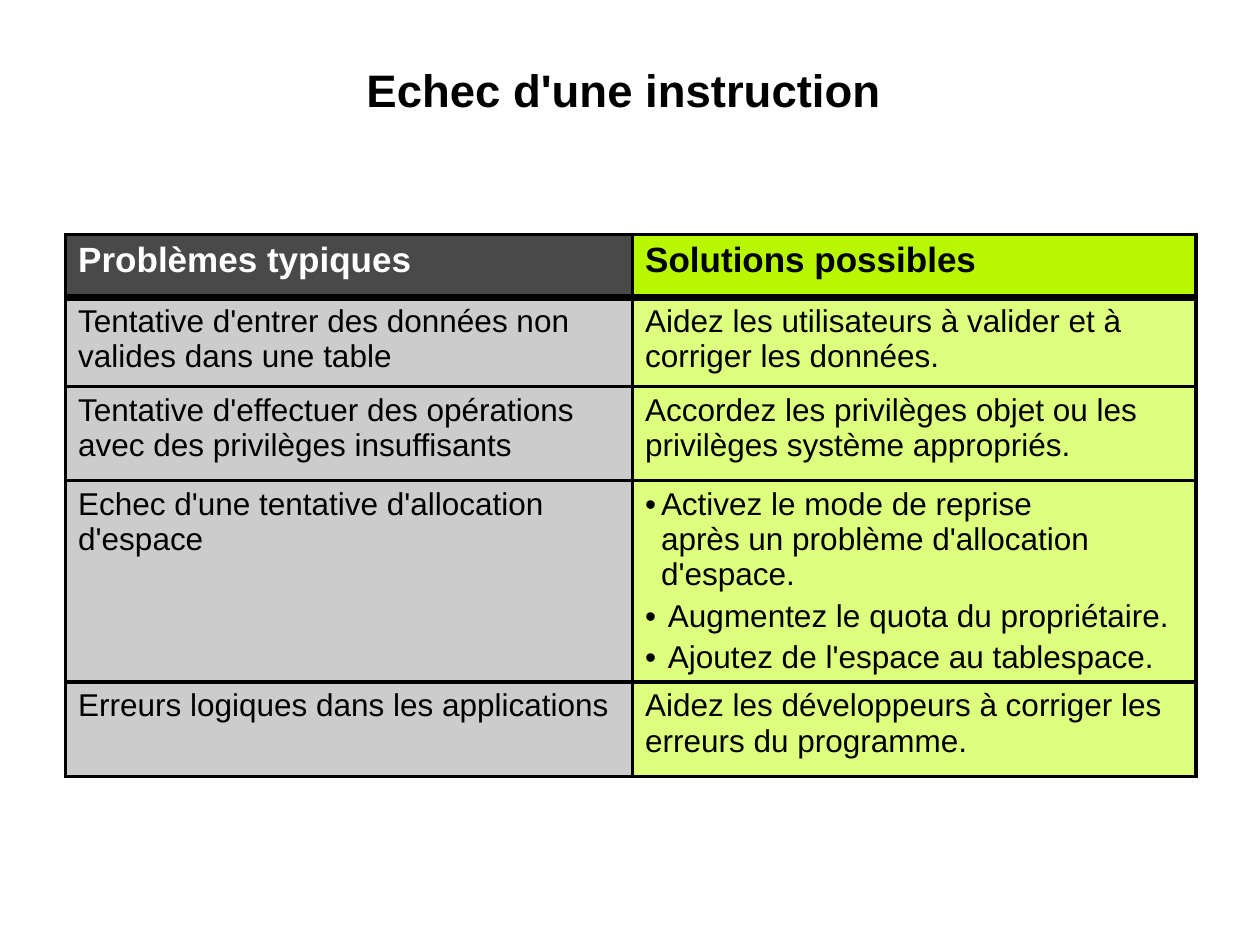
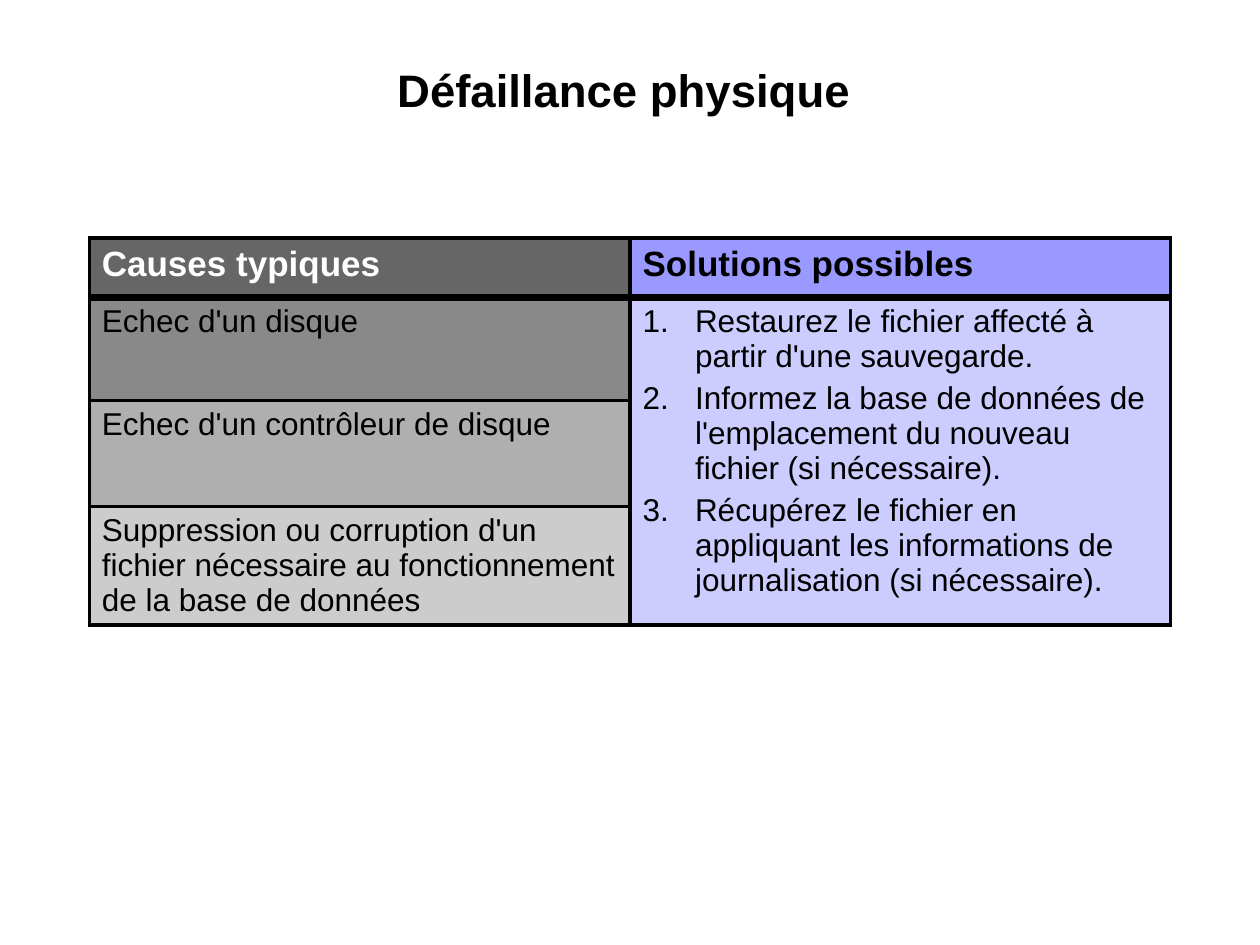
from lxml.etree import SubElement
from pptx import Presentation
from pptx.dml.color import RGBColor
from pptx.enum.text import MSO_ANCHOR, MSO_AUTO_SIZE, PP_ALIGN
from pptx.oxml.ns import qn
from pptx.util import Pt

COLORS = {
    "black": "000000", "white": "FFFFFF",
    "charcoal": "494949", "lime": "B7F800", "pale_lime": "DDFF7D",
    "dark_gray": "666666", "violet": "9999FF", "pale_violet": "CCCCFF",
    "gray": "898989", "mid_gray": "AFAFAF", "light_gray": "CCCCCC",
}
FONT = "Arial"
TITLE_BOX = (48, 34.5, 624, 69)
THIN, THICK = 2.25, 4.5


def write_paragraph(paragraph, text, size=18, bold=False, color="black",
                    align=PP_ALIGN.LEFT, marker=None, indent=0):
    """Write one formatted paragraph; marker is a bullet sign or "1." for numbers."""
    paragraph.text = text
    paragraph.alignment = align
    for run in paragraph.runs:
        run.font.name = FONT
        run.font.size = Pt(size)
        run.font.bold = bold
        run.font.color.rgb = RGBColor.from_string(COLORS[color])
    properties = paragraph._p.get_or_add_pPr()
    spacing = SubElement(properties, qn("a:spcBef"))
    SubElement(spacing, qn("a:spcPct"), val="20000")
    if marker:
        properties.set("marL", str(Pt(indent)))
        properties.set("indent", str(-Pt(indent)))
        if marker == "1.":
            SubElement(properties, qn("a:buAutoNum"), type="arabicPeriod")
        else:
            SubElement(properties, qn("a:buFont"), typeface=FONT)
            SubElement(properties, qn("a:buChar"), char=marker)


class Deck:
    def __init__(self):
        self.presentation = Presentation()
        self.presentation.slide_width = Pt(720)
        self.presentation.slide_height = Pt(540)
        self.slide = None

    def add_slide(self, title):
        layout = self.presentation.slide_layouts.get_by_name("Title Only")
        self.slide = self.presentation.slides.add_slide(layout)
        shape = self.slide.shapes.title
        shape.left, shape.top, shape.width, shape.height = map(Pt, TITLE_BOX)
        frame = shape.text_frame
        frame.auto_size = MSO_AUTO_SIZE.NONE
        frame.vertical_anchor = MSO_ANCHOR.TOP
        frame.margin_left = frame.margin_top = frame.margin_bottom = Pt(1)
        frame.margin_right = Pt(8)
        write_paragraph(frame.paragraphs[0], title, size=26, bold=True,
                        align=PP_ALIGN.CENTER)

    def add_table(self, left, top, widths, heights):
        table = self.slide.shapes.add_table(
            len(heights), len(widths), Pt(left), Pt(top),
            Pt(sum(widths)), Pt(sum(heights))).table
        table.first_row = table.horz_banding = False
        for column, width in zip(table.columns, widths):
            column.width = Pt(width)
        for row, height in zip(table.rows, heights):
            row.height = Pt(height)
        for index, row in enumerate(table.rows):
            for cell in row.cells:
                self.add_borders(cell, top=THICK if index == 1 else THIN,
                                 bottom=THICK if index == 0 else THIN)
        return table

    def add_borders(self, cell, top, bottom):
        properties = cell._tc.get_or_add_tcPr()
        for side, width in (("L", THIN), ("R", THIN), ("T", top), ("B", bottom)):
            line = SubElement(properties, qn(f"a:ln{side}"), w=str(Pt(width)))
            fill = SubElement(line, qn("a:solidFill"))
            SubElement(fill, qn("a:srgbClr"), val=COLORS["black"])

    def fill_cell(self, cell, fill, *texts, **text_format):
        """Each text is a string, or a pair of string and its own indent."""
        cell.fill.solid()
        cell.fill.fore_color.rgb = RGBColor.from_string(COLORS[fill])
        frame = cell.text_frame
        for index, text in enumerate(texts):
            paragraph = frame.add_paragraph() if index else frame.paragraphs[0]
            if isinstance(text, tuple):
                text, text_format["indent"] = text
            write_paragraph(paragraph, text, **text_format)

    def fill_header(self, table, left_text, left_fill, right_text, right_fill):
        self.fill_cell(table.cell(0, 0), left_fill, left_text,
                       size=20, bold=True, color="white")
        self.fill_cell(table.cell(0, 1), right_fill, right_text, size=20, bold=True)


def build_statement_failure(deck):
    deck.add_slide("Echec d'une instruction")
    table = deck.add_table(37.5, 134, [324, 322], [36, 51, 53.5, 104.5, 54])
    deck.fill_header(table, "Problèmes typiques", "charcoal",
                     "Solutions possibles", "lime")
    problems = [
        "Tentative d'entrer des données non valides dans une table",
        "Tentative d'effectuer des opérations avec des privilèges insuffisants",
        "Echec d'une tentative d'allocation d'espace",
        "Erreurs logiques dans les applications",
    ]
    for row, problem in enumerate(problems, start=1):
        deck.fill_cell(table.cell(row, 0), "light_gray", problem)
    solutions = {
        1: "Aidez les utilisateurs à valider et à corriger les données.",
        2: "Accordez les privilèges objet ou les privilèges système appropriés.",
        4: "Aidez les développeurs à corriger les erreurs du programme.",
    }
    for row, solution in solutions.items():
        deck.fill_cell(table.cell(row, 1), "pale_lime", solution)
    # Space allocation has several solutions
    deck.fill_cell(
        table.cell(3, 1), "pale_lime",
        ("Activez le mode de reprise\vaprès un problème d'allocation d'espace.", 9),
        ("Augmentez le quota du propriétaire.", 13),
        ("Ajoutez de l'espace au tablespace.", 13),
        marker="•")


def build_media_failure(deck):
    deck.add_slide("Défaillance physique")
    table = deck.add_table(51, 136, [309, 309], [34, 59, 60.5, 60])
    deck.fill_header(table, "Causes typiques", "dark_gray",
                     "Solutions possibles", "violet")
    causes = [
        ("gray", "Echec d'un disque"),
        ("mid_gray", "Echec d'un contrôleur de disque"),
        ("light_gray", "Suppression ou corruption d'un fichier nécessaire "
                       "au fonctionnement de la base de données"),
    ]
    for row, (fill, cause) in enumerate(causes, start=1):
        deck.fill_cell(table.cell(row, 0), fill, cause)
    # One list of steps answers every cause
    steps = table.cell(1, 1)
    steps.merge(table.cell(3, 1))
    deck.fill_cell(
        steps, "pale_violet",
        "Restaurez le fichier affecté à partir d'une sauvegarde.",
        "Informez la base de données de l'emplacement du nouveau fichier "
        "(si nécessaire).",
        "Récupérez le fichier en appliquant les informations de journalisation "
        "(si nécessaire).",
        marker="1.", indent=30)


def main():
    deck = Deck()
    build_statement_failure(deck)
    build_media_failure(deck)
    deck.presentation.save("out.pptx")


if __name__ == "__main__":
    main()
